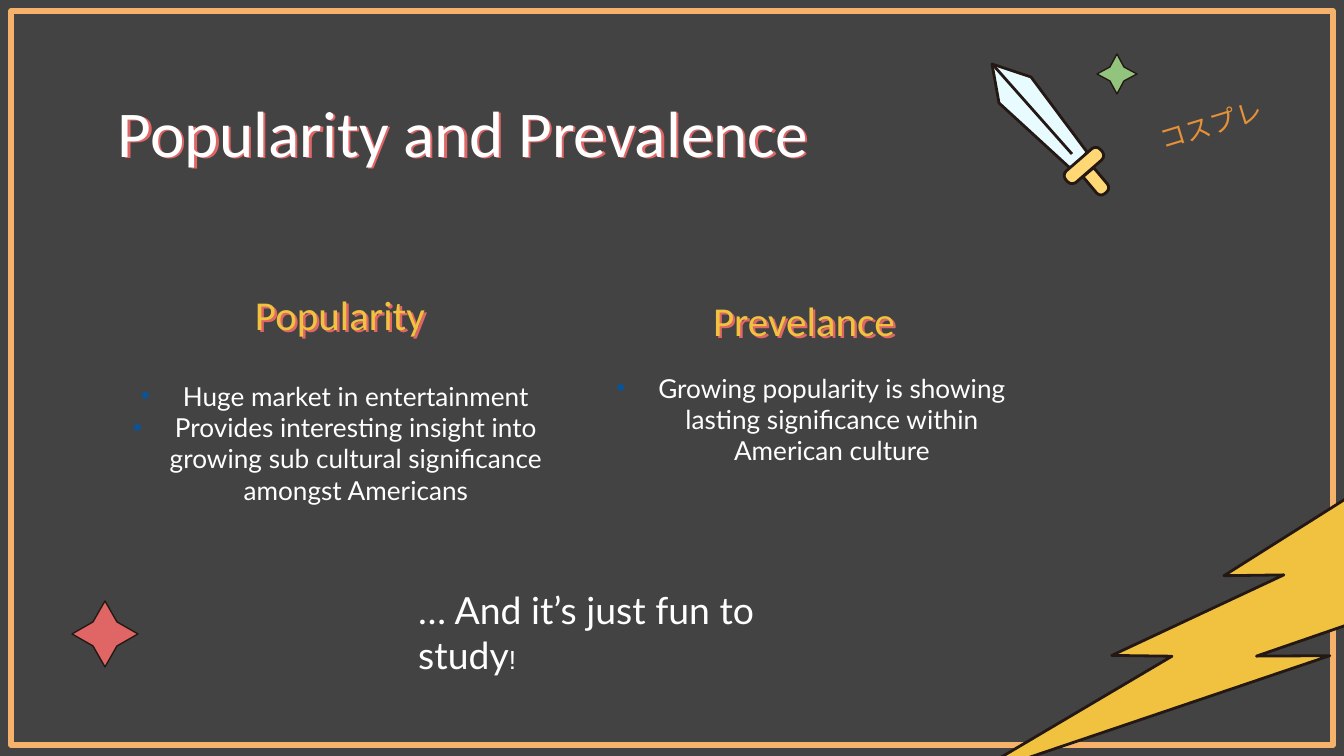
from lxml import etree
from pptx import Presentation
from pptx.dml.color import RGBColor
from pptx.enum.shapes import MSO_CONNECTOR, MSO_SHAPE
from pptx.enum.text import MSO_ANCHOR, MSO_AUTO_SIZE, PP_ALIGN
from pptx.oxml.ns import qn
from pptx.util import Emu, Pt

PX = 914400 / 134.4
LEFT, CENTER = PP_ALIGN.LEFT, PP_ALIGN.CENTER
TOP, BOTTOM = MSO_ANCHOR.TOP, MSO_ANCHOR.BOTTOM
COLORS = {
    "night": "434343", "frame": "F6B26B", "bolt": "F1C23F", "ink": "241814",
    "white": "FFFFFF", "blade": "E8FBFE", "gold": "FFD775", "kana": "E69138",
    "green": "93C47D", "red": "E06666", "bullet": "0B5394",
}


def px(value):
    return Emu(round(value * PX))


def color(name):
    return RGBColor.from_string(COLORS[name])


def add_color(parent, name):
    etree.SubElement(parent, qn("a:srgbClr"), val=COLORS[name])


def paint(shape, fill, line="ink", width=1.5):
    """Fill and outline a shape, without a shadow."""
    shape.shadow.inherit = False
    if fill:
        shape.fill.solid()
        shape.fill.fore_color.rgb = color(fill)
    else:
        shape.fill.background()
    shape.line.color.rgb = color(line)
    shape.line.width = Pt(width)


def add_preset(shapes, kind, box, fill, line="ink", width=1.5, rotation=0):
    shape = shapes.add_shape(kind, *map(px, box))
    shape.rotation = rotation
    paint(shape, fill, line, width)
    return shape


def add_polygon(shapes, points, fill, width=1.5):
    builder = shapes.build_freeform(*points[0], scale=PX)
    builder.add_line_segments(points[1:], close=True)
    paint(builder.convert_to_shape(), fill, width=width)


def add_star(shapes, x, y, outer, inner, fill):
    steps = [(0, -outer), (inner, -inner), (outer, 0), (inner, inner),
             (0, outer), (-inner, inner), (-outer, 0), (-inner, -inner)]
    add_polygon(shapes, [(x + dx, y + dy) for dx, dy in steps], fill, 0.75)


def add_span(para, text, size, font, fill):
    span = para.add_run()
    span.text = text
    span.font.size = Pt(size)
    span.font.name = font
    span.font.bold = False
    span.font.color.rgb = color(fill)
    return span


def place(holder, box, anchor):
    """Move a placeholder and set its text frame."""
    holder.left, holder.top, holder.width, holder.height = map(px, box)
    frame = holder.text_frame
    frame.word_wrap = True
    frame.auto_size = MSO_AUTO_SIZE.NONE
    frame.vertical_anchor = anchor
    frame.margin_left = frame.margin_right = px(13)
    frame.margin_top = frame.margin_bottom = px(13)
    return frame


def fill_heading(holder, box, text, size, fill, align, anchor):
    para = place(holder, box, anchor).paragraphs[0]
    para.alignment = align
    para.space_before = Pt(0)
    add_span(para, text, size, "Calibri", fill)
    # Red offset shadow behind the letters
    effects = etree.SubElement(holder._element.spPr, qn("a:effectLst"))
    shadow = etree.SubElement(effects, qn("a:outerShdw"), dist="19050",
                              dir="1800000", algn="bl", rotWithShape="0")
    add_color(shadow, "red")


def add_bullet(para):
    props = para._p.get_or_add_pPr()
    props.set("marL", str(px(42)))
    props.set("indent", str(px(-42)))
    add_color(etree.SubElement(props, qn("a:buClr")), "bullet")
    etree.SubElement(props, qn("a:buFont"), typeface="Arial")
    etree.SubElement(props, qn("a:buChar"), char="•")


def fill_list(holder, box, items):
    frame = place(holder, box, TOP)
    for number, item in enumerate(items):
        para = frame.add_paragraph() if number else frame.paragraphs[0]
        para.alignment = CENTER
        para.space_before = Pt(0)
        add_bullet(para)
        add_span(para, item, 14, "Lato", "white")


def add_text(shapes, box, align=LEFT):
    text_box = shapes.add_textbox(*map(px, box))
    text_box.text_frame.word_wrap = True
    para = text_box.text_frame.paragraphs[0]
    para.alignment = align
    return text_box, para


def add_sword(page):
    parts = page.shapes.add_group_shape().shapes
    blade = [(992, 64), (1031, 77), (1087, 152), (1080, 162), (1070, 168), (999, 103)]
    add_polygon(parts, blade, "blade")
    ridge = parts.add_connector(MSO_CONNECTOR.STRAIGHT, px(994), px(66), px(1072), px(154))
    ridge.line.color.rgb = color("ink")
    ridge.line.width = Pt(1.5)
    etree.SubElement(ridge._element.spPr, qn("a:effectLst"))
    # Grip and guard
    grip = add_preset(parts, MSO_SHAPE.ROUND_2_SAME_RECTANGLE, (1090, 169, 14, 27),
                      "gold", rotation=140)
    grip.adjustments[0] = 0.4
    guard = add_preset(parts, MSO_SHAPE.ROUNDED_RECTANGLE, (1061, 158, 46, 15),
                       "gold", rotation=-41)
    guard.adjustments[0] = 0.4


def add_kana(page):
    text_box, para = add_text(page.shapes, (1141, 102, 142, 52), CENTER)
    text_box.rotation = 343
    span = add_span(para, "コスプレ", 14, "Calibri", "kana")
    outline = etree.Element(qn("a:ln"), w=str(Pt(0.75)))
    add_color(etree.SubElement(outline, qn("a:solidFill")), "ink")
    span.font._element.insert(0, outline)


def main():
    deck = Presentation()
    deck.slide_width, deck.slide_height = px(1344), px(756)
    page = deck.slides.add_slide(deck.slide_layouts.get_by_name("Comparison"))
    page.background.fill.solid()
    page.background.fill.fore_color.rgb = color("night")
    shapes = page.shapes

    # Frame and lightning bolt
    add_preset(shapes, MSO_SHAPE.RECTANGLE, (11, 11, 1322, 734), None, "frame", 3)
    bolt = add_preset(shapes, MSO_SHAPE.LIGHTNING_BOLT, (943, 501, 710, 230),
                      "bolt", rotation=351.9)
    bolt._element.spPr.find(qn("a:xfrm")).set("flipH", "1")

    # Title and the two columns
    title, left_head, left_list, right_head, right_list = page.placeholders
    fill_heading(title, (105, 79, 1134, 85), "Popularity and Prevalence",
                 35, "white", LEFT, TOP)
    fill_heading(left_head, (110, 265, 460, 87), "Popularity", 22, "bolt", CENTER, BOTTOM)
    fill_heading(right_head, (574, 271, 460, 87), "Prevelance", 22, "bolt", CENTER, BOTTOM)
    fill_list(left_list, (105, 367, 460, 220), [
        "Huge market in entertainment",
        "Provides interesting insight into growing sub cultural significance amongst Americans",
    ])
    fill_list(right_list, (581, 359, 460, 220), [
        "Growing popularity is showing lasting significance within American culture",
    ])

    # Decorations
    add_sword(page)
    add_kana(page)
    add_star(shapes, 1117, 74, 20, 7, "green")
    add_star(shapes, 105, 634, 33, 12, "red")

    # Closing remark
    remark, para = add_text(shapes, (405, 581, 460, 59))
    remark.text_frame.auto_size = MSO_AUTO_SIZE.SHAPE_TO_FIT_TEXT
    add_span(para, "… And it’s just fun to study", 20, "Lato", "white")
    add_span(para, "!", 14, "Arial", "white")

    deck.save("out.pptx")


if __name__ == "__main__":
    main()
